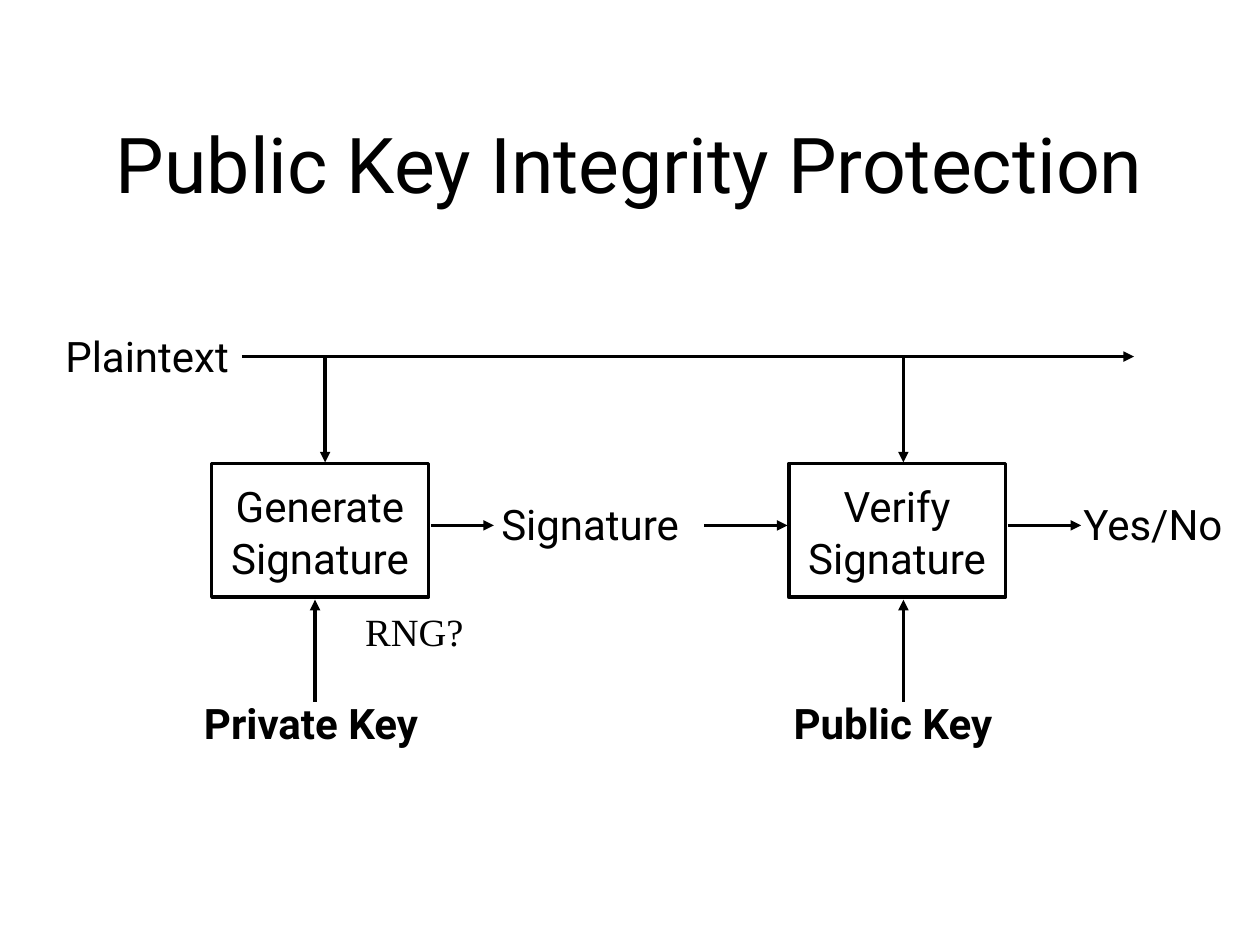
from lxml import etree
from pptx import Presentation
from pptx.dml.color import RGBColor
from pptx.enum.shapes import MSO_CONNECTOR as Connector, MSO_SHAPE as Shape
from pptx.enum.text import MSO_ANCHOR as Anchor, PP_ALIGN as Align
from pptx.oxml.ns import qn
from pptx.util import Inches, Pt

INK = "000000"
STROKE = 2.01
BODY_FONT = "Roboto"
BOX_W, BOX_H = 1.72, 1.06
BOX_TOP = 3.68
PLAINTEXT_Y = 2.83
SIGNATURE_Y = 4.17


def color(hex_code):
    """Turn a hex string into a colour."""
    return RGBColor.from_string(hex_code)


def format_text(frame, text, size=24, font=BODY_FONT, bold=False,
                align=Align.LEFT, spacing=1.01):
    """Write text into a frame, one paragraph for each line."""
    frame.text = text
    for paragraph in frame.paragraphs:
        paragraph.alignment = align
        paragraph.line_spacing = spacing
        paragraph.font.size = Pt(size)
        paragraph.font.name = font
        paragraph.font.bold = bold
        paragraph.font.color.rgb = color(INK)


def add_title(slide, text):
    """Fill and place the title placeholder."""
    title = slide.shapes.title
    title.left, title.top = Inches(0.75), Inches(0.5)
    title.width, title.height = Inches(8.5), Inches(1.58)
    format_text(title.text_frame, text, size=44, align=Align.CENTER)
    title.text_frame.vertical_anchor = Anchor.MIDDLE


def add_label(slide, text, left, top, width, height=0.51, **style):
    """Add a single-line label."""
    label = slide.shapes.add_textbox(
        Inches(left), Inches(top), Inches(width), Inches(height))
    label.text_frame.word_wrap = False
    format_text(label.text_frame, text, **style)


def add_arrow(slide, start, end):
    """Draw a straight arrow between two (x, y) points."""
    arrow = slide.shapes.add_connector(
        Connector.STRAIGHT, *(Inches(value) for value in (*start, *end)))
    arrow.line.color.rgb = color(INK)
    arrow.line.width = Pt(STROKE)
    properties = arrow._element.spPr
    etree.SubElement(properties.find(qn("a:ln")), qn("a:tailEnd"), type="triangle")
    etree.SubElement(properties, qn("a:effectLst"))


def add_step(slide, text, left, top):
    """Add an outlined process box."""
    step = slide.shapes.add_shape(
        Shape.ROUNDED_RECTANGLE, Inches(left), Inches(top),
        Inches(BOX_W), Inches(BOX_H))
    step.adjustments[0] = 0
    step.shadow.inherit = False
    step.fill.background()
    step.line.color.rgb = color(INK)
    step.line.width = Pt(STROKE)
    step.text_frame.word_wrap = False
    step.text_frame.vertical_anchor = Anchor.MIDDLE
    format_text(step.text_frame, text, align=Align.CENTER, spacing=1.05)


def add_stage(slide, text, left, plaintext_x, key_x, key, key_left, key_width,
              output_x):
    """Add a process box with its plaintext input, key input and output."""
    bottom = BOX_TOP + BOX_H
    add_step(slide, text, left, BOX_TOP)
    add_arrow(slide, (plaintext_x, PLAINTEXT_Y), (plaintext_x, BOX_TOP - 0.01))
    add_arrow(slide, (key_x, bottom + 0.83), (key_x, bottom + 0.02))
    add_label(slide, key, key_left, bottom + 0.74, key_width, bold=True)
    add_arrow(slide, (left + BOX_W + 0.02, SIGNATURE_Y), (output_x, SIGNATURE_Y))


def build_slide(deck):
    """Build the signature generation and verification diagram."""
    slide = deck.slides.add_slide(deck.slide_layouts[5])
    add_title(slide, "Public Key Integrity Protection")

    add_label(slide, "Plaintext", 0.42, 2.57, 1.57)
    add_arrow(slide, (1.92, PLAINTEXT_Y), (9, PLAINTEXT_Y))

    add_stage(slide, "Generate\nSignature", 1.68, plaintext_x=2.58, key_x=2.5,
              key="Private Key", key_left=1.52, key_width=2.09, output_x=3.92)
    add_stage(slide, "Verify\nSignature", 6.26, plaintext_x=7.17, key_x=7.17,
              key="Public Key", key_left=6.2, key_width=1.91, output_x=8.58)

    add_label(slide, "Signature", 3.88, 3.9, 1.72)
    add_arrow(slide, (5.59, SIGNATURE_Y), (6.25, SIGNATURE_Y))
    add_label(slide, "Yes/No", 8.5, 3.9, 1.32)
    add_label(slide, "RNG?", 2.8, 4.78, 1.05, 0.5, size=22,
              font="Times New Roman", spacing=1.0)


deck = Presentation()
deck.slide_width, deck.slide_height = Inches(10), Inches(7.5)
build_slide(deck)
deck.save("out.pptx")
